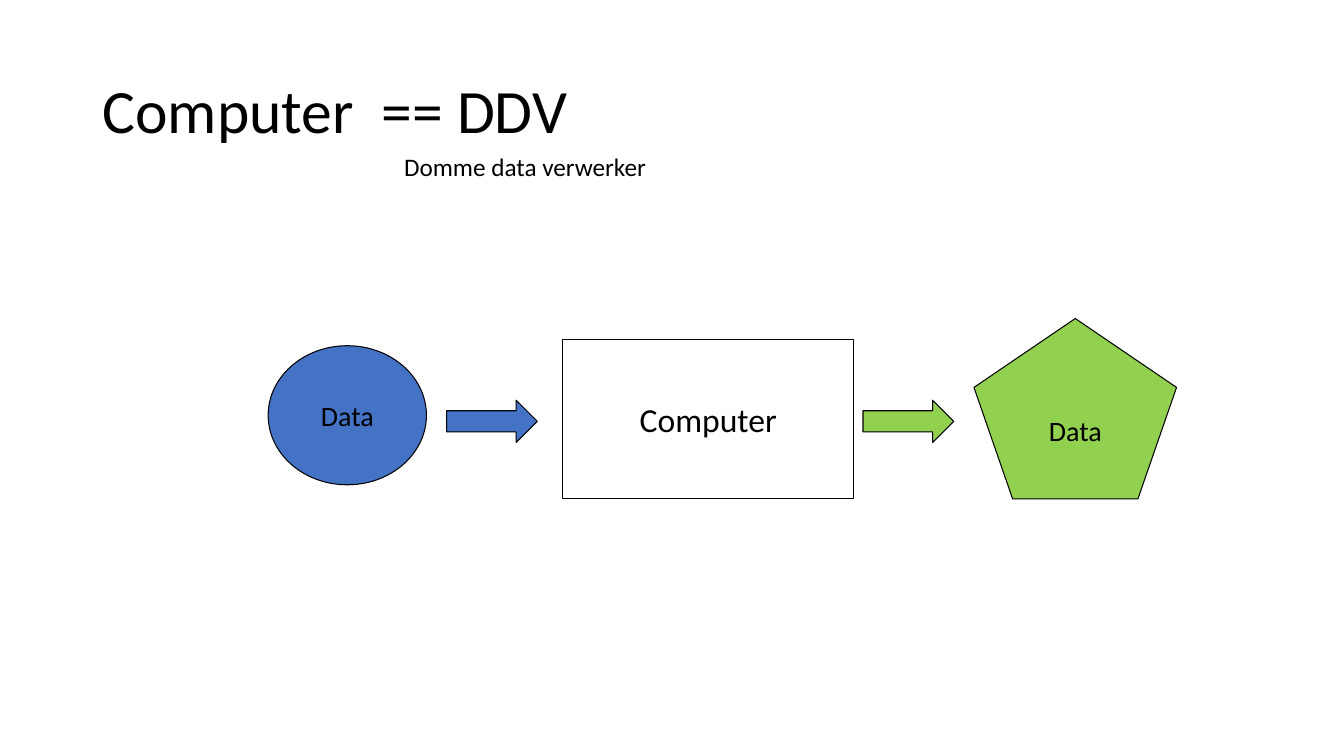
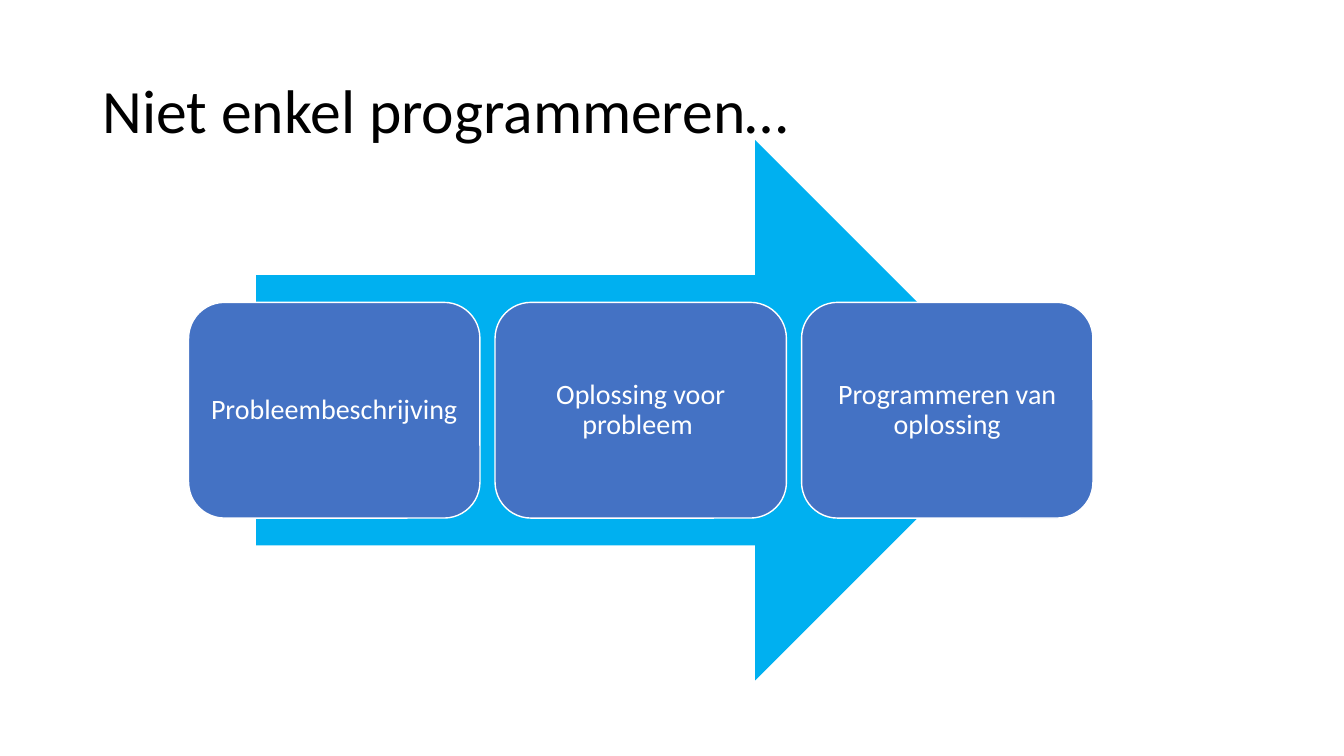
"""Build two slides on what a computer does and the steps towards a program."""
import pptx
import pptx.util
import pptx.dml.color
import pptx.enum.shapes
import pptx.enum.text

Inches = pptx.util.Inches
Pt = pptx.util.Pt
MSO = pptx.enum.shapes.MSO_SHAPE
ANCHOR = pptx.enum.text.MSO_ANCHOR
ALIGN = pptx.enum.text.PP_ALIGN

BLACK = pptx.dml.color.RGBColor(0x00, 0x00, 0x00)
WHITE = pptx.dml.color.RGBColor(0xFF, 0xFF, 0xFF)
BLUE = pptx.dml.color.RGBColor(0x44, 0x72, 0xC4)
GREEN = pptx.dml.color.RGBColor(0x92, 0xD0, 0x50)
SKY = pptx.dml.color.RGBColor(0x00, 0xB0, 0xF0)
FONT = "Calibri"


def add_text(sp, text, size, color=BLACK, frame=None, para=None):
    """Write one paragraph into a shape with the given frame and paragraph formats."""
    tf = sp.text_frame
    for name, value in {"word_wrap": True, **(frame or {})}.items():
        setattr(tf, name, value)
    p = tf.paragraphs[0]
    for name, value in (para or {}).items():
        setattr(p, name, value)
    r = p.add_run()
    r.text = text
    for name, value in {"name": FONT, "size": Pt(size)}.items():
        setattr(r.font, name, value)
    r.font.color.rgb = color


def add_shape(s, kind, box, fill, line=None, width=0.75):
    """Add a flat preset shape, outlined only when a line colour is given."""
    sp = s.shapes.add_shape(kind, *map(Inches, box))
    sp.shadow.inherit = False
    sp.fill.solid()
    sp.fill.fore_color.rgb = fill
    if line is None:
        sp.line.fill.background()
    else:
        sp.line.color.rgb = line
        sp.line.width = Pt(width)
    return sp


prs = pptx.Presentation()
prs.slide_width = Inches(13.33)
prs.slide_height = Inches(7.5)

slides = []
for title in ["Computer  == DDV", "Niet enkel programmeren…"]:
    s = prs.slides.add_slide(prs.slide_layouts[6])
    sp = s.shapes.add_textbox(Inches(0.92), Inches(0.4), Inches(11.5), Inches(1.45))
    add_text(sp, title, 44, frame={"vertical_anchor": ANCHOR.MIDDLE}, para={"line_spacing": 0.9})
    slides.append(s)
flow, steps = slides

centered = {"frame": {"vertical_anchor": ANCHOR.MIDDLE}, "para": {"alignment": ALIGN.CENTER}}
for kind, box, fill, text, size in [
    (MSO.OVAL, (2.66, 3.43, 1.57, 1.38), BLUE, "Data", 20),
    (MSO.RECTANGLE, (5.58, 3.37, 2.89, 1.58), WHITE, "Computer", 24),
    (MSO.REGULAR_PENTAGON, (9.66, 3.16, 2.01, 1.79), GREEN, "Data", 20),
]:
    sp = add_shape(flow, kind, box, fill, BLACK)
    add_text(sp, text, size, **centered)

for left, fill in [(4.43, BLUE), (8.56, GREEN)]:
    add_shape(flow, MSO.RIGHT_ARROW, (left, 3.97, 0.9, 0.42), fill, BLACK)

sp = flow.shapes.add_textbox(Inches(3.91), Inches(1.45), Inches(2.63), Inches(0.4))
add_text(sp, "Domme data verwerker", 18, frame={"word_wrap": False})

add_shape(steps, MSO.RIGHT_ARROW, (2.54, 1.39, 7.63, 5.36), SKY)
inset = Inches(0.08)
step_frame = {"vertical_anchor": ANCHOR.MIDDLE, "margin_left": inset, "margin_right": inset,
              "margin_top": inset, "margin_bottom": inset}
step_para = {"alignment": ALIGN.CENTER, "line_spacing": 0.9}
step_left, step_width, step_gap = 1.87, 2.89, 0.15
for i, text in enumerate(["Probleembeschrijving", "Oplossing voor probleem ", "Programmeren van oplossing"]):
    left = step_left + i * (step_width + step_gap)
    sp = add_shape(steps, MSO.ROUNDED_RECTANGLE, (left, 3, step_width, 2.14), BLUE, WHITE, 1)
    add_text(sp, text, 20, WHITE, step_frame, step_para)

prs.save("out.pptx")
